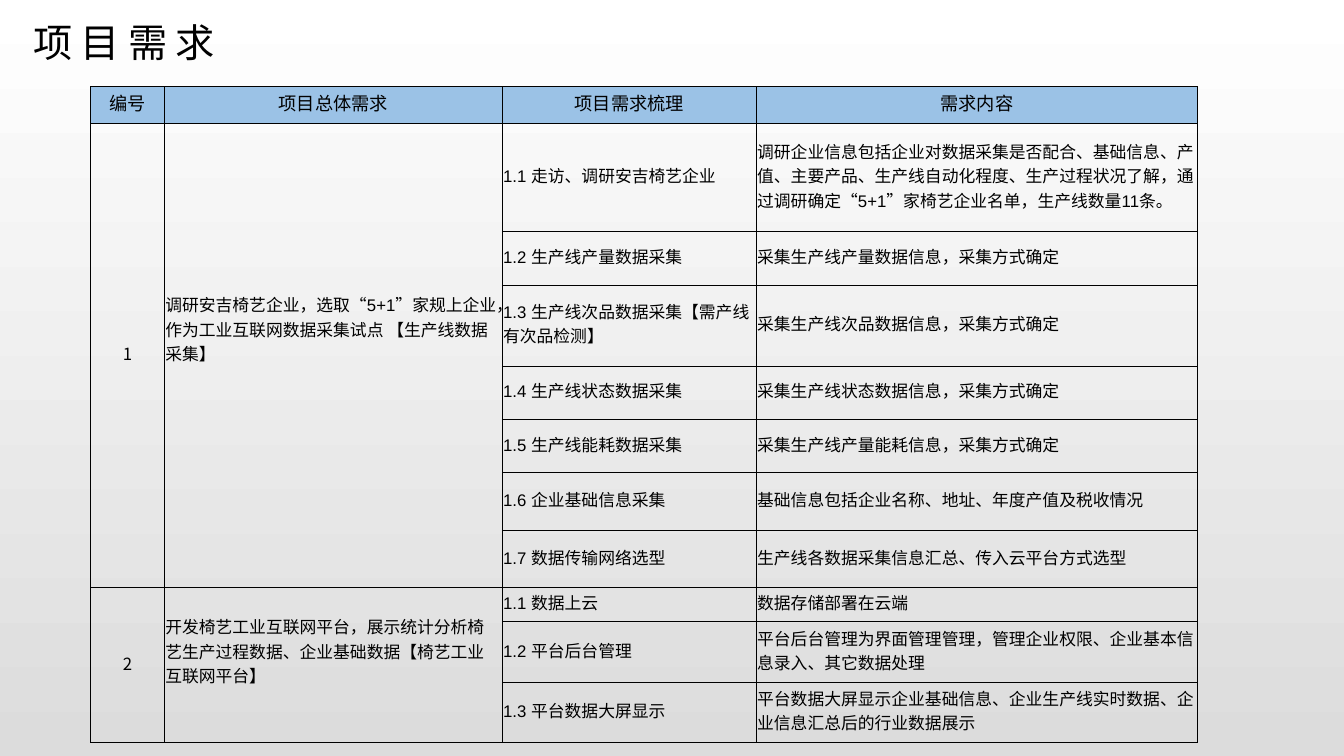
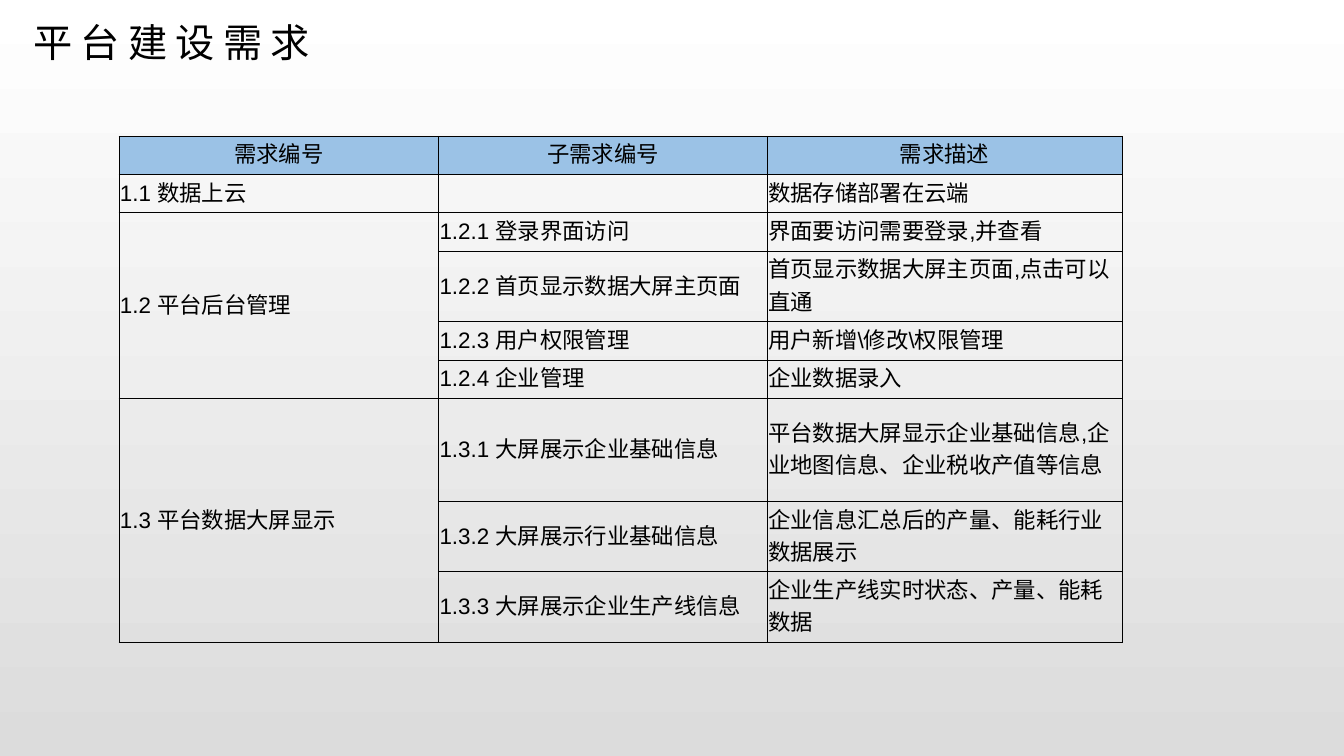
from lxml import etree
from pptx import Presentation
from pptx.dml.color import RGBColor
from pptx.enum.text import MSO_ANCHOR, MSO_AUTO_SIZE, PP_ALIGN
from pptx.oxml.ns import qn
from pptx.util import Pt

PX = 9144  # EMU in one px, at 100 px to the inch
SLIDE_W, SLIDE_H = 1333, 750

BLACK = RGBColor(0x00, 0x00, 0x00)
WHITE = RGBColor(0xFF, 0xFF, 0xFF)
GREY = RGBColor(0xDC, 0xDC, 0xDC)
HEADER_BLUE = RGBColor(0x9B, 0xC2, 0xE6)

LATIN_FONT = "Arial"
CJK_FONT = "Noto Sans CJK SC"

LEFT, CENTER = PP_ALIGN.LEFT, PP_ALIGN.CENTER
TOP, MIDDLE = MSO_ANCHOR.TOP, MSO_ANCHOR.MIDDLE
NO_AUTOFIT = MSO_AUTO_SIZE.NONE
TITLE_ONLY = 5

LINE_H = 24  # one line of 12 pt text
CELL_BOTTOM = 5

# In the tables, None continues the cell above.
PROJECT_COLS = [73, 335, 252, 438]
PROJECT_HEIGHTS = [36, 108, 53, 80, 53, 53, 57, 57, 34, 60, 60]
PROJECT_ROWS = [
    ["编号", "项目总体需求", "项目需求梳理", "需求内容"],
    ["1", "调研安吉椅艺企业，选取“5+1”家规上企业，作为工业互联网数据采集试点 【生产线数据采集】",
     "1.1 走访、调研安吉椅艺企业",
     "调研企业信息包括企业对数据采集是否配合、基础信息、产值、主要产品、生产线自动化程度、"
     "生产过程状况了解，通过调研确定“5+1”家椅艺企业名单，生产线数量11条。"],
    [None, None, "1.2 生产线产量数据采集", "采集生产线产量数据信息，采集方式确定"],
    [None, None, "1.3 生产线次品数据采集【需产线有次品检测】", "采集生产线次品数据信息，采集方式确定"],
    [None, None, "1.4 生产线状态数据采集", "采集生产线状态数据信息，采集方式确定"],
    [None, None, "1.5 生产线能耗数据采集", "采集生产线产量能耗信息，采集方式确定"],
    [None, None, "1.6 企业基础信息采集", "基础信息包括企业名称、地址、年度产值及税收情况"],
    [None, None, "1.7 数据传输网络选型", "生产线各数据采集信息汇总、传入云平台方式选型"],
    ["2", "开发椅艺工业互联网平台，展示统计分析椅艺生产过程数据、企业基础数据【椅艺工业互联网平台】",
     "1.1 数据上云", "数据存储部署在云端"],
    [None, None, "1.2 平台后台管理",
     "平台后台管理为界面管理管理，管理企业权限、企业基本信息录入、其它数据处理"],
    [None, None, "1.3 平台数据大屏显示",
     "平台数据大屏显示企业基础信息、企业生产线实时数据、企业信息汇总后的行业数据展示"],
]

PLATFORM_COLS = [317, 326, 352]
PLATFORM_HEIGHTS = [38, 38, 38, 70, 38, 38, 102, 70, 70]
PLATFORM_ROWS = [
    ["需求编号", "子需求编号", "需求描述"],
    ["1.1 数据上云", "", "数据存储部署在云端"],
    ["1.2 平台后台管理", "1.2.1 登录界面访问", "界面要访问需要登录,并查看"],
    [None, "1.2.2 首页显示数据大屏主页面", "首页显示数据大屏主页面,点击可以直通"],
    [None, "1.2.3 用户权限管理", "用户新增\\修改\\权限管理"],
    [None, "1.2.4 企业管理", "企业数据录入"],
    ["1.3 平台数据大屏显示", "1.3.1 大屏展示企业基础信息",
     "平台数据大屏显示企业基础信息,企业地图信息、企业税收产值等信息"],
    [None, "1.3.2 大屏展示行业基础信息", "企业信息汇总后的产量、能耗行业数据展示"],
    [None, "1.3.3 大屏展示企业生产线信息", "企业生产线实时状态、产量、能耗数据"],
]


def px(n):
    return n * PX


def set_margins(target, left, top, right, bottom):
    target.margin_left, target.margin_top = px(left), px(top)
    target.margin_right, target.margin_bottom = px(right), px(bottom)


def format_runs(p, size, latin=LATIN_FONT):
    for r in p.runs:
        r.font.size = Pt(size)
        r.font.name = latin
        r.font.color.rgb = BLACK
        ea = etree.Element(qn("a:ea"), typeface=CJK_FONT)
        r.font._element.find(qn("a:latin")).addnext(ea)


def set_background(master):
    fill = master.background.fill
    fill.gradient()
    fill.gradient_angle = 270
    for stop, color in zip(fill.gradient_stops, (WHITE, GREY)):
        stop.color.rgb = color


def add_titled_slide(prs, title):
    s = prs.slides.add_slide(prs.slide_layouts[TITLE_ONLY])
    sp = s.shapes.title
    sp.left, sp.top, sp.width, sp.height = px(22), px(19), px(1187), px(98)
    tf = sp.text_frame
    tf.text = title
    tf.word_wrap = True
    tf.auto_size = NO_AUTOFIT
    tf.vertical_anchor = TOP
    set_margins(tf, 11, 4, 3, 4)
    p = tf.paragraphs[0]
    p.alignment = LEFT
    p.line_spacing = 0.9
    format_runs(p, 28)
    for r in p.runs:
        r.font._element.set("spc", "600")
    return s


def set_borders(cell):
    tc_pr = cell._tc.get_or_add_tcPr()
    for side in ("lnL", "lnR", "lnT", "lnB"):
        ln = etree.SubElement(tc_pr, qn(f"a:{side}"), w=str(Pt(0.5)))
        fill = etree.SubElement(ln, qn("a:solidFill"))
        etree.SubElement(fill, qn("a:srgbClr"), val=str(BLACK))


def format_cell(cell, text, size, is_header):
    set_borders(cell)
    if is_header:
        cell.fill.solid()
        cell.fill.fore_color.rgb = HEADER_BLUE
    else:
        cell.fill.background()
    cell.vertical_anchor = MIDDLE
    set_margins(cell, 1, 1, 1, CELL_BOTTOM)
    if text:
        is_number = text.isdigit()
        cell.text_frame.text = text
        p = cell.text_frame.paragraphs[0]
        p.alignment = CENTER if is_header or is_number else LEFT
        format_runs(p, size, CJK_FONT if is_number else LATIN_FONT)


def merge_continued(table, rows):
    """Join each cell with the None entries below it."""
    for c in range(len(rows[0])):
        starts = [i for i, row in enumerate(rows) if row[c] is not None]
        for first, following in zip(starts, starts[1:] + [len(rows)]):
            if following - first > 1:
                table.cell(first, c).merge(table.cell(following - 1, c))


def add_grid(s, left, top, widths, heights, rows, header_size, body_size):
    frame = s.shapes.add_table(len(rows), len(widths), px(left), px(top),
                               px(sum(widths)), px(sum(heights)))
    table = frame.table
    table.first_row = table.horz_banding = False
    for column, width in zip(table.columns, widths):
        column.width = px(width)
    for i, (row, height) in enumerate(zip(rows, heights)):
        table.rows[i].height = px(height)
        for c, text in enumerate(row):
            size = body_size if i else header_size
            format_cell(table.cell(i, c), text, size, i == 0)
    merge_continued(table, rows)
    return table


def main():
    prs = Presentation()
    prs.slide_width, prs.slide_height = px(SLIDE_W), px(SLIDE_H)
    set_background(prs.slide_master)

    s = add_titled_slide(prs, "项目需求")
    table = add_grid(s, 90, 86, PROJECT_COLS, PROJECT_HEIGHTS, PROJECT_ROWS, 13, 12)
    # The overall requirements sit a little above the middle of their cells.
    for row, lines in ((1, 2), (8, 1)):
        table.cell(row, 1).margin_bottom = px(CELL_BOTTOM + lines * LINE_H)

    s = add_titled_slide(prs, "平台建设需求")
    add_grid(s, 118, 135, PLATFORM_COLS, PLATFORM_HEIGHTS, PLATFORM_ROWS, 16, 16)

    prs.save("out.pptx")


if __name__ == "__main__":
    main()
